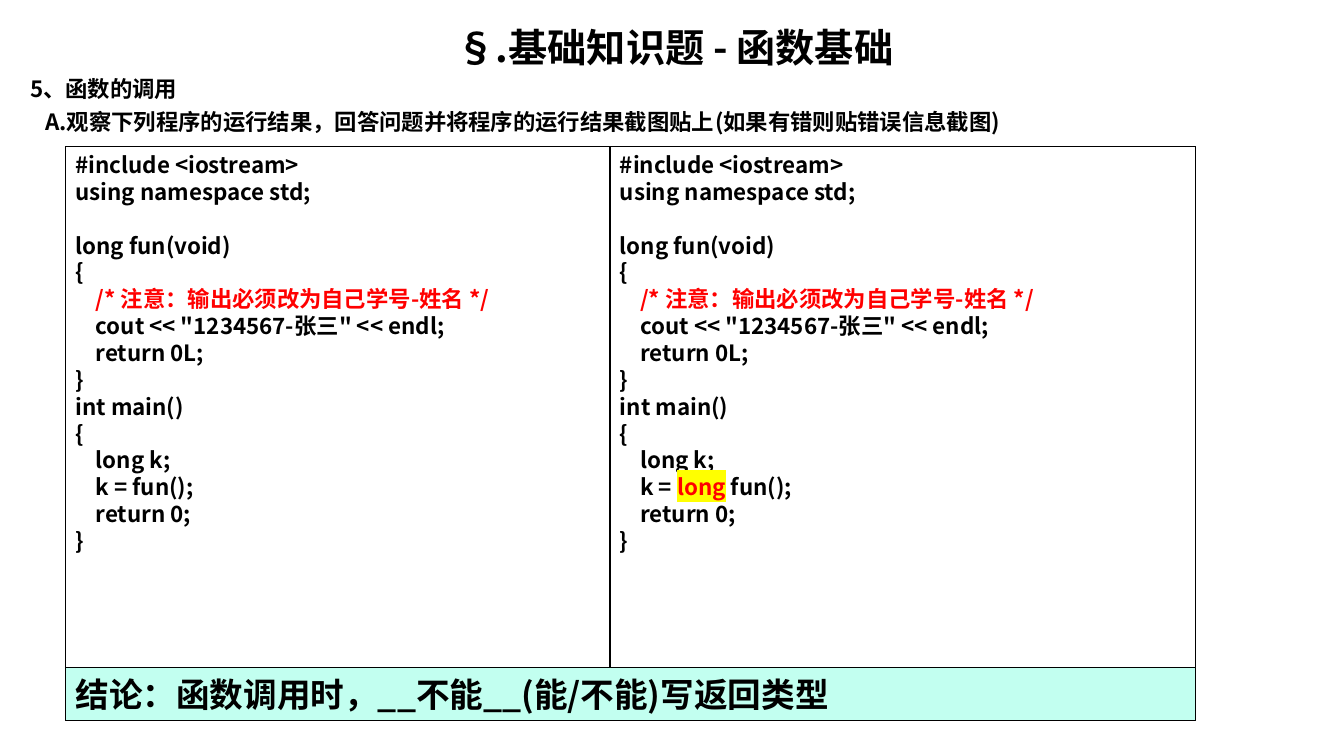
from dataclasses import dataclass

from lxml import etree
from pptx import Presentation
from pptx.dml.color import RGBColor
from pptx.enum import shapes, text
from pptx.oxml import ns
from pptx.util import Inches, Pt

HEADING = [
    ("§.基础知识题 - 函数基础", "title"),
    ("5、函数的调用", "body"),
    ("   A.观察下列程序的运行结果，回答问题并将程序的运行结果截图贴上(如果有错则贴错误信息截图)", "body"),
]
CODE_START = """#include <iostream>
using namespace std;

long fun(void)
{
""".splitlines()
WARNING = "    /* 注意：输出必须改为自己学号-姓名 */"
CODE_MIDDLE = """    cout << "1234567-张三" << endl;
    return 0L;
}
int main()
{
    long k;""".splitlines()
CODE_END = ["    return 0;", "}"]
PLAIN_CALL = [("    k = fun();", "plain")]
TYPED_CALL = [("    k = ", "plain"), ("long", "marked"), (" fun();", "plain")]
CONCLUSION = "结论：函数调用时，__不能__(能/不能)写返回类型"


@dataclass(frozen=True)
class Theme:
    font: str = "Noto Sans CJK SC"
    ink: str = "000000"
    alert: str = "FF0000"
    highlight: str = "FFFF00"
    conclusion_fill: str = "C2FFF0"
    title: int = 28
    body: int = 16
    conclusion: int = 24
    line_height: float = 1.2
    space_before: float = 3.8
    border: float = 0.75


THEME = Theme()

# Frame edges in inches; the right program covers part of the left one.
LEFT, MIDDLE, RIGHT = 0.65, 6.05, 11.86
TOP, BOTTOM = 1.45, 7.15
CONCLUSION_TOP = 6.62


def program(call):
    """Lines of the program, each a list of (text, style) runs."""
    start, middle, end = (
        [[(line, "plain")] if line else [] for line in part]
        for part in (CODE_START, CODE_MIDDLE, CODE_END)
    )
    return start + [[(WARNING, "alert")]] + middle + [call] + end


def add_run(paragraph, words, size, style):
    run = paragraph.add_run()
    run.text = words
    font = run.font
    font.size, font.bold = Pt(size), True
    color = THEME.ink if style == "plain" else THEME.alert
    font.color.rgb = RGBColor.from_string(color)
    properties = run._r.get_or_add_rPr()
    if style == "marked":
        highlight = etree.SubElement(properties, ns.qn("a:highlight"))
        etree.SubElement(highlight, ns.qn("a:srgbClr"), val=THEME.highlight)
    font.name = THEME.font
    etree.SubElement(properties, ns.qn("a:ea"), typeface=THEME.font)


def write_line(frame, index, runs, size):
    paragraph = frame.add_paragraph() if index else frame.paragraphs[0]
    paragraph.alignment = text.PP_ALIGN.LEFT
    paragraph.line_spacing = Pt(size * THEME.line_height)
    for words, style in runs:
        add_run(paragraph, words, size, style)
    return paragraph


def add_heading(slide):
    box = slide.shapes.add_textbox(Inches(0.2), Inches(0.18), Inches(12.99), Inches(7.09))
    frame = box.text_frame
    frame.word_wrap = True
    for index, (words, role) in enumerate(HEADING):
        paragraph = write_line(frame, index, [(words, "plain")], getattr(THEME, role))
        if role == "title":
            paragraph.alignment = text.PP_ALIGN.CENTER
        else:
            paragraph.space_before = Pt(THEME.space_before)


def add_panel(slide, left, top, lines, size, fill=None, anchor=text.MSO_ANCHOR.TOP):
    """Bordered box reaching from (left, top) to the frame's lower right corner."""
    shape = slide.shapes.add_shape(
        shapes.MSO_SHAPE.RECTANGLE,
        Inches(left), Inches(top), Inches(RIGHT - left), Inches(BOTTOM - top),
    )
    shape.shadow.inherit = False
    if fill:
        shape.fill.solid()
        shape.fill.fore_color.rgb = RGBColor.from_string(fill)
    else:
        shape.fill.background()
    shape.line.color.rgb = RGBColor.from_string(THEME.ink)
    shape.line.width = Pt(THEME.border)
    frame = shape.text_frame
    frame.word_wrap = True
    frame.vertical_anchor = anchor
    for index, runs in enumerate(lines):
        write_line(frame, index, runs, size)


def main():
    presentation = Presentation()
    presentation.slide_width, presentation.slide_height = Inches(13.33), Inches(7.5)
    slide = presentation.slides.add_slide(presentation.slide_layouts[6])
    add_heading(slide)
    for left, call in ((LEFT, PLAIN_CALL), (MIDDLE, TYPED_CALL)):
        add_panel(slide, left, TOP, program(call), THEME.body)
    add_panel(slide, LEFT, CONCLUSION_TOP, [[(CONCLUSION, "plain")]], THEME.conclusion,
              THEME.conclusion_fill, text.MSO_ANCHOR.MIDDLE)
    presentation.save("out.pptx")


if __name__ == "__main__":
    main()
